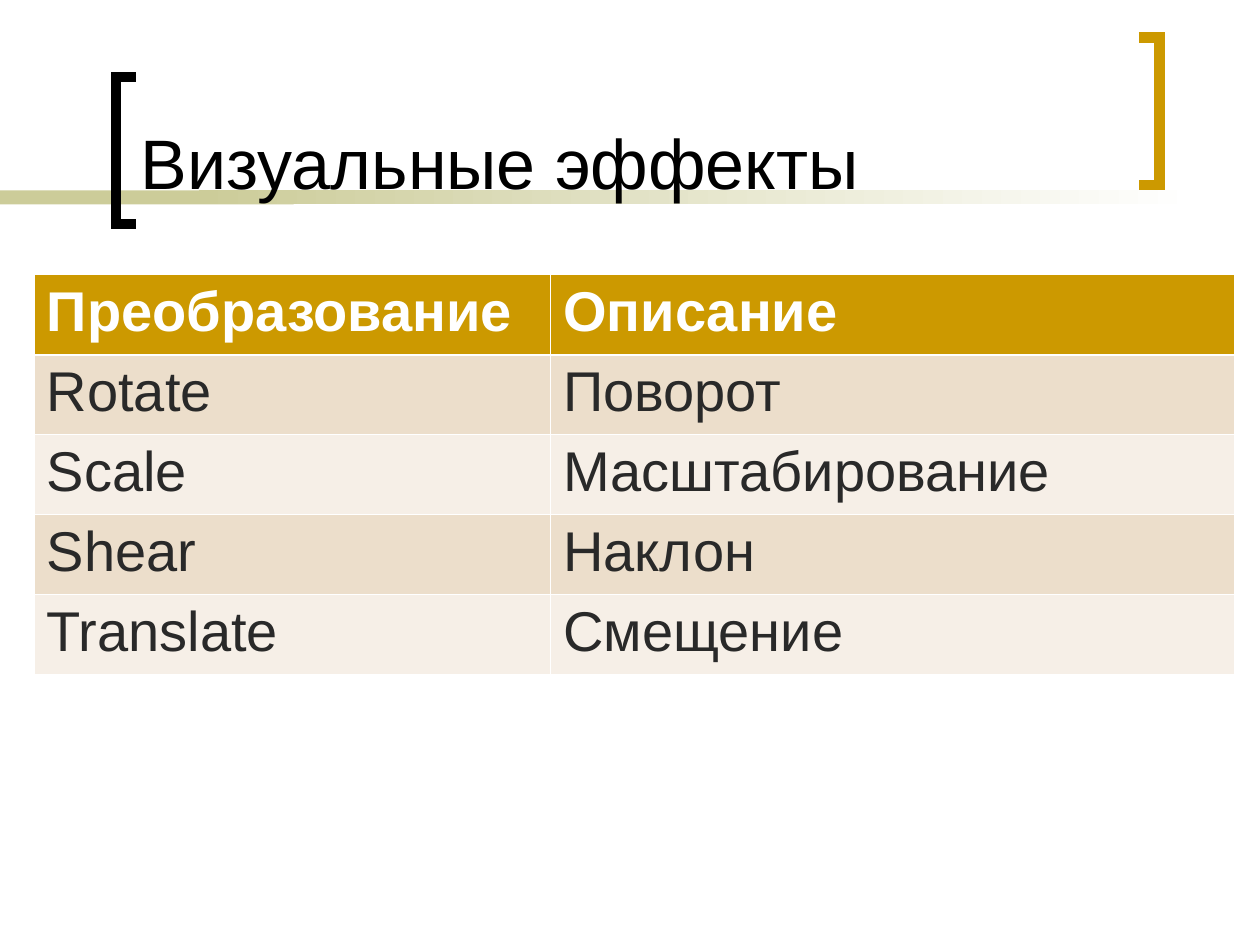
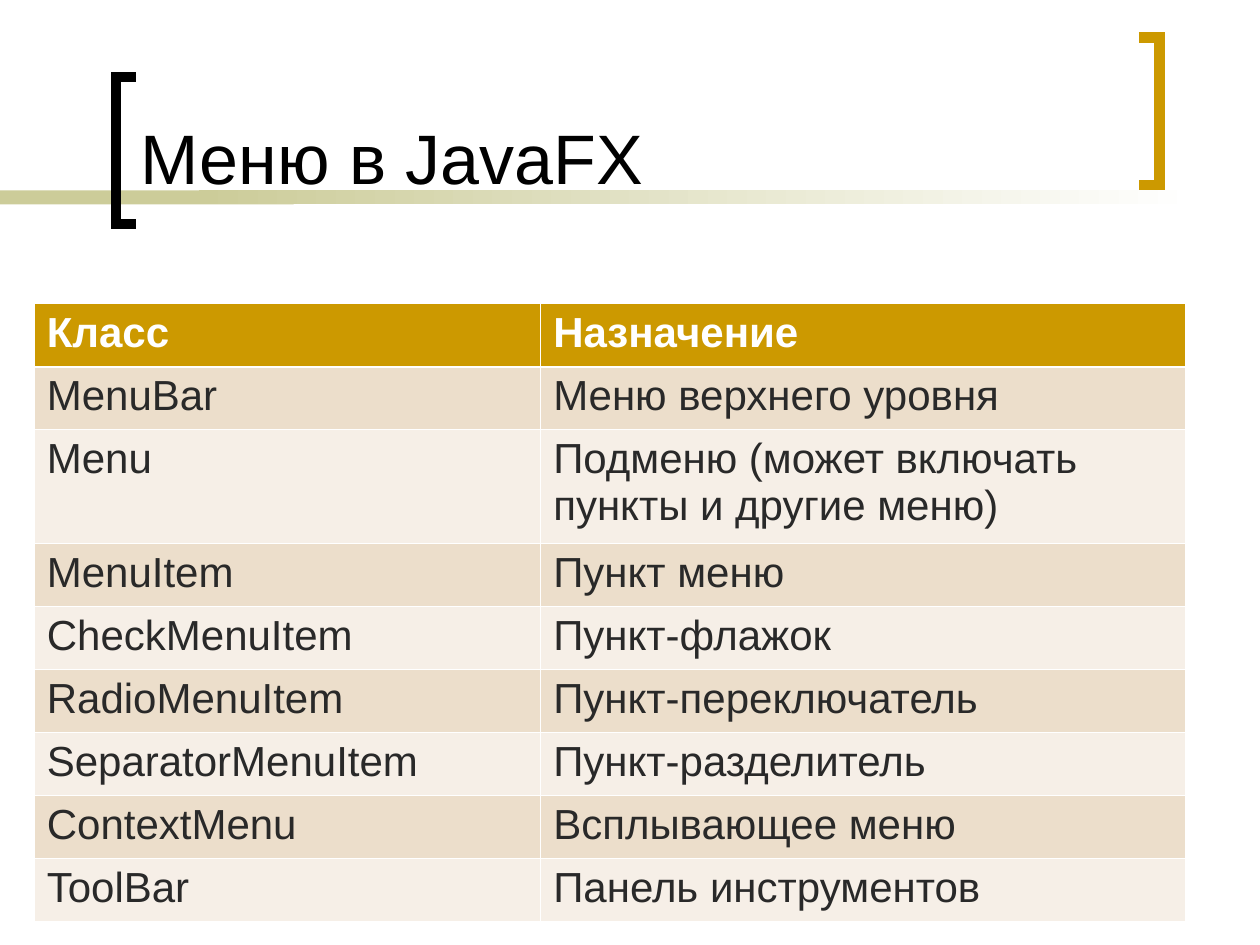
import pptx
import pptx.dml.color
import pptx.enum.shapes
import pptx.enum.text
import pptx.oxml.ns
import pptx.util
from lxml import etree

Cm = pptx.util.Cm
Pt = pptx.util.Pt

FONT = "Arial"
BLACK, WHITE, TEXT = "000000", "FFFFFF", "292929"
GOLD, OLIVE = "CC9900", "CCCC99"
ROW_FILLS = ["F6EFE7", "ECDECB"]
THIN, THICK = 0.45, 1.47
BAND_TOP, BAND_HEIGHT = 3.84, 0.28
BRACKETS = [
    {"color": BLACK, "points": [(2.74, 4.52), (2.34, 4.52), (2.34, 1.55), (2.74, 1.55)]},
    {"color": GOLD, "points": [(22.96, 0.76), (23.37, 0.76), (23.37, 3.73), (22.96, 3.73)]},
]

SLIDES = [
    {
        "title": "Визуальные эффекты", "title_top": 0.28,
        "table_top": 5.54, "columns": [10.41, 13.79], "row_height": 1.61,
        "tall_rows": {}, "size": 32,
        "rows": [
            ("Преобразование", "Описание"),
            ("Rotate", "Поворот"),
            ("Scale", "Масштабирование"),
            ("Shear", "Наклон"),
            ("Translate", "Смещение"),
        ],
    },
    {
        "title": "Меню в JavaFX", "title_top": 0.18,
        "table_top": 6.12, "columns": [10.21, 13], "row_height": 1.27,
        "tall_rows": {2: 2.29}, "size": 24,
        "rows": [
            ("Класс", "Назначение"),
            ("MenuBar", "Меню верхнего уровня"),
            ("Menu", "Подменю (может включать пункты и другие меню)"),
            ("MenuItem", "Пункт меню"),
            ("CheckMenuItem", "Пункт-флажок"),
            ("RadioMenuItem", "Пункт-переключатель"),
            ("SeparatorMenuItem", "Пункт-разделитель"),
            ("ContextMenu", "Всплывающее меню"),
            ("ToolBar", "Панель инструментов"),
        ],
    },
]


def rgb(color):
    return pptx.dml.color.RGBColor.from_string(color)


def write(text_frame, text, size, color, bold=False):
    """Put one formatted run into the first paragraph of a text frame."""
    run = text_frame.paragraphs[0].add_run()
    run.text = text
    for name, value in {"name": FONT, "size": Pt(size), "bold": bold}.items():
        setattr(run.font, name, value)
    run.font.color.rgb = rgb(color)


presentation = pptx.Presentation()
presentation.slide_width = Cm(25.4)
presentation.slide_height = Cm(19.05)

for content in SLIDES:
    slide = presentation.slides.add_slide(presentation.slide_layouts[6])

    # Band behind the title: a plain start that fades out to the right
    for left, width, fades in [(0, 5.92, False), (4.01, 20.12, True)]:
        band = slide.shapes.add_shape(
            pptx.enum.shapes.MSO_SHAPE.RECTANGLE,
            Cm(left), Cm(BAND_TOP), Cm(width), Cm(BAND_HEIGHT))
        band.shadow.inherit = False
        band.line.fill.background()
        if fades:
            band.fill.gradient()
            band.fill.gradient_angle = 0
            for stop, position, color in zip(band.fill.gradient_stops, (0, 1), (OLIVE, WHITE)):
                stop.position = position
                stop.color.rgb = rgb(color)
        else:
            band.fill.solid()
            band.fill.fore_color.rgb = rgb(OLIVE)

    # Square brackets around the title
    for bracket in BRACKETS:
        start, *corners = [(Cm(x), Cm(y)) for x, y in bracket["points"]]
        builder = slide.shapes.build_freeform(*start)
        builder.add_line_segments(corners, close=False)
        outline = builder.convert_to_shape()
        outline.shadow.inherit = False
        outline.fill.background()
        outline.line.color.rgb = rgb(bracket["color"])
        outline.line.width = Pt(6)
        line_element = outline.element.spPr.find(pptx.oxml.ns.qn("a:ln"))
        etree.SubElement(line_element, pptx.oxml.ns.qn("a:miter"), lim="800000")

    title = slide.shapes.add_textbox(Cm(2.59), Cm(content["title_top"]), Cm(19.89), Cm(3.94))
    title.text_frame.word_wrap = True
    title.text_frame.vertical_anchor = pptx.enum.text.MSO_ANCHOR.BOTTOM
    write(title.text_frame, content["title"], 40, BLACK)

    rows = content["rows"]
    heights = [content["tall_rows"].get(index, content["row_height"]) for index in range(len(rows))]
    table = slide.shapes.add_table(
        len(rows), len(content["columns"]), Cm(0.69), Cm(content["table_top"]),
        Cm(sum(content["columns"])), Cm(sum(heights))).table
    for column, width in zip(table.columns, content["columns"]):
        column.width = Cm(width)
    for row, height in zip(table.rows, heights):
        row.height = Cm(height)

    for row_index, texts in enumerate(rows):
        is_header = row_index == 0
        borders = {
            "lnL": THIN, "lnR": THIN,
            "lnT": THICK if row_index == 1 else THIN,
            "lnB": THICK if is_header else THIN,
        }
        for column_index, text in enumerate(texts):
            cell = table.cell(row_index, column_index)
            properties = cell._tc.get_or_add_tcPr()
            for side, width in borders.items():
                border = etree.SubElement(
                    properties, pptx.oxml.ns.qn("a:" + side), w=str(int(Pt(width))))
                fill = etree.SubElement(border, pptx.oxml.ns.qn("a:solidFill"))
                etree.SubElement(fill, pptx.oxml.ns.qn("a:srgbClr"), val=WHITE)
            cell.fill.solid()
            cell.fill.fore_color.rgb = rgb(GOLD if is_header else ROW_FILLS[row_index % 2])
            write(cell.text_frame, text, content["size"], WHITE if is_header else TEXT, is_header)

presentation.save("out.pptx")
